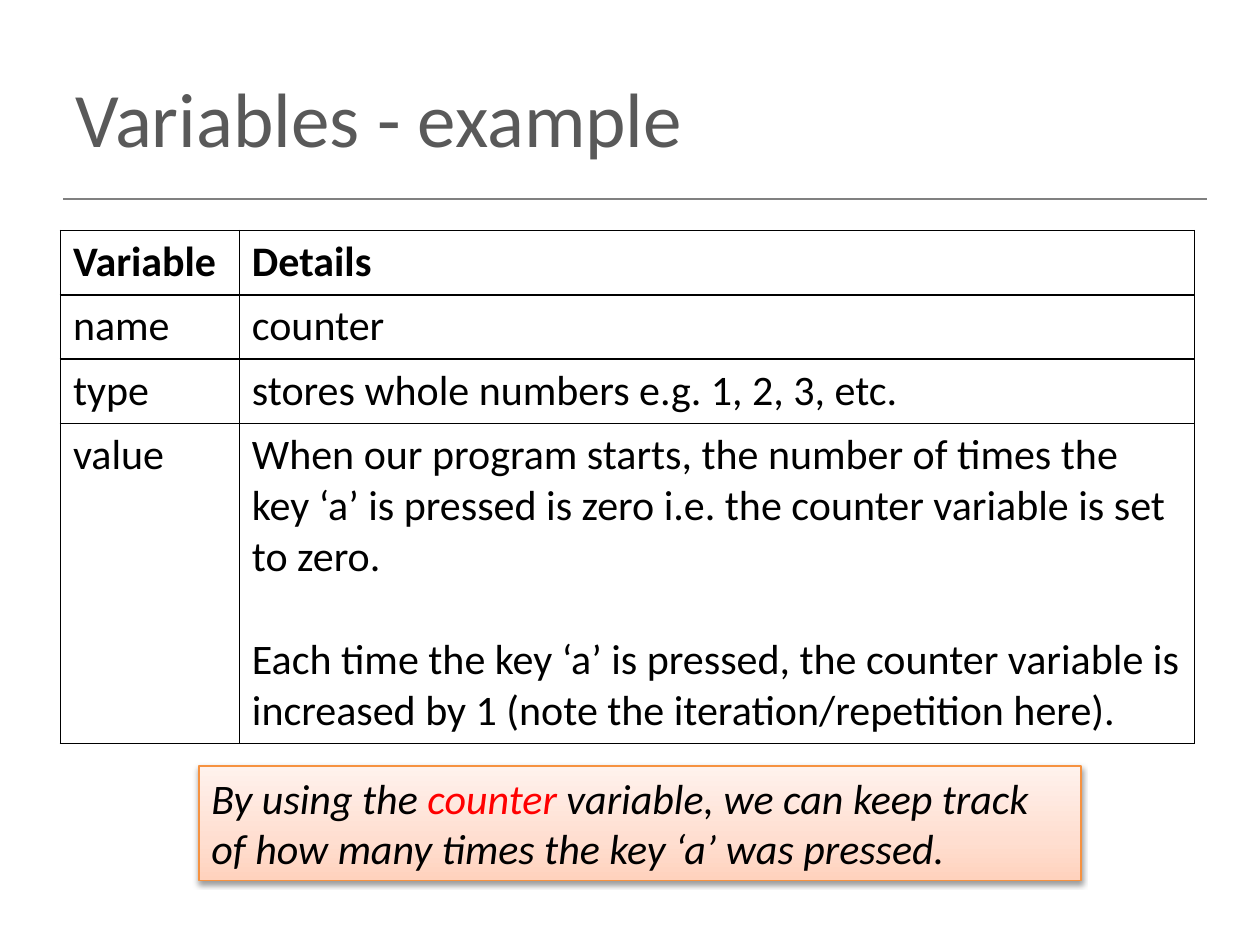
import copy

import lxml.etree
import pptx
import pptx.dml.color
import pptx.enum.shapes
import pptx.enum.text
import pptx.oxml
import pptx.oxml.ns
import pptx.util

Inches, Pt = pptx.util.Inches, pptx.util.Pt
RGBColor = pptx.dml.color.RGBColor
qn = pptx.oxml.ns.qn

BLACK = RGBColor(0x00, 0x00, 0x00)
RED = RGBColor(0xFF, 0x00, 0x00)
TITLE_GREY = RGBColor(0x59, 0x59, 0x59)
RULE_GREY = RGBColor(0x80, 0x80, 0x80)
ORANGE = RGBColor(0xF6, 0x92, 0x40)
PEACH = [(0, RGBColor(0xFF, 0xD2, 0xBD)), (0.35, RGBColor(0xFF, 0xDE, 0xD0)),
         (1, RGBColor(0xFF, 0xF2, 0xED))]

ROWS = [
    ("Variable", ["Details"]),
    ("name", ["counter"]),
    ("type", ["stores whole numbers e.g. 1, 2, 3, etc."]),
    ("value", ["When our program starts, the number of times the key ‘a’ is pressed is zero "
               "i.e. the counter variable is set to zero.",
               "Each time the key ‘a’ is pressed, the counter variable is increased by 1 "
               "(note the iteration/repetition here)."]),
]


class SlideBuilder:
    """Holds the text style and the current slide, and draws each kind of element."""

    font = "Calibri"
    size = 24

    def __init__(self, s):
        self.s = s

    def run(self, p, text, color=BLACK, size=size, bold=False, italic=False):
        r = p.add_run()
        r.text = text
        r.font.name, r.font.size = self.font, Pt(size)
        r.font.bold, r.font.italic = bold, italic
        r.font.color.rgb = color

    def title(self, text, x, y, w, h):
        sp = self.s.shapes.title
        sp.left, sp.top, sp.width, sp.height = map(Inches, (x, y, w, h))
        tf = sp.text_frame
        tf.vertical_anchor = pptx.enum.text.MSO_ANCHOR.MIDDLE
        p = tf.paragraphs[0]
        p.alignment = pptx.enum.text.PP_ALIGN.LEFT
        self.run(p, text, TITLE_GREY, 44)

    def rule(self, x1, x2, y):
        sp = self.s.shapes.add_connector(
            pptx.enum.shapes.MSO_CONNECTOR.STRAIGHT, Inches(x1), Inches(y), Inches(x2), Inches(y))
        sp.line.color.rgb, sp.line.width = RULE_GREY, Pt(1)
        lxml.etree.SubElement(sp._element.spPr, qn("a:effectLst"))

    def borders(self, cell):
        for i, side in enumerate(("lnL", "lnR", "lnT", "lnB")):
            ln = pptx.oxml.parse_xml(
                f'<a:{side} xmlns:a="http://schemas.openxmlformats.org/drawingml/2006/main" '
                f'w="{Pt(1)}"><a:solidFill><a:srgbClr val="{BLACK}"/></a:solidFill></a:{side}>')
            cell._tc.get_or_add_tcPr().insert(i, ln)

    def cell(self, cell, paragraphs, bold):
        cell.fill.background()
        self.borders(cell)
        tf = cell.text_frame
        for i, text in enumerate(paragraphs):
            p = tf.add_paragraph() if i else tf.paragraphs[0]
            if i:
                p.space_before = Pt(29.3)
            self.run(p, text, bold=bold)

    def table(self, rows, x, y, widths, heights):
        table = self.s.shapes.add_table(
            len(rows), len(widths), Inches(x), Inches(y),
            Inches(sum(widths)), Inches(sum(heights))).table
        for column, width in zip(table.columns, widths):
            column.width = Inches(width)
        for i, (label, details) in enumerate(rows):
            table.rows[i].height = Inches(heights[i])
            self.cell(table.cell(i, 0), [label], i == 0)
            self.cell(table.cell(i, 1), details, i == 0)

    def gradient(self, fill, gs_list_parent, stops):
        fill.gradient()
        fill.gradient_angle = 90
        gs_list = gs_list_parent.find(".//" + qn("a:gsLst"))
        gs_list.insert(1, copy.deepcopy(gs_list[0]))
        for stop, (position, color) in zip(fill.gradient_stops, stops):
            stop.position, stop.color.rgb = position, color

    def callout(self, runs, x, y, w, h):
        sp = self.s.shapes.add_shape(
            pptx.enum.shapes.MSO_SHAPE.RECTANGLE, Inches(x), Inches(y), Inches(w), Inches(h))
        self.gradient(sp.fill, sp._element.spPr, PEACH)
        sp.line.color.rgb, sp.line.width = ORANGE, Pt(0.75)
        sp.shadow.inherit = False
        sp._element.spPr.find(qn("a:effectLst")).append(pptx.oxml.parse_xml(
            '<a:outerShdw xmlns:a="http://schemas.openxmlformats.org/drawingml/2006/main" '
            f'blurRad="{Pt(3.1)}" dist="{Pt(1.6)}" dir="5400000" rotWithShape="0">'
            f'<a:srgbClr val="{BLACK}"><a:alpha val="38000"/></a:srgbClr></a:outerShdw>'))
        tf = sp.text_frame
        tf.word_wrap = True
        tf.auto_size = pptx.enum.text.MSO_AUTO_SIZE.SHAPE_TO_FIT_TEXT
        tf.vertical_anchor = pptx.enum.text.MSO_ANCHOR.TOP
        p = tf.paragraphs[0]
        p.alignment = pptx.enum.text.PP_ALIGN.LEFT
        for text, color in runs:
            self.run(p, text, color, italic=True)


def main():
    prs = pptx.Presentation()
    prs.slide_width, prs.slide_height = Inches(10), Inches(7.5)
    b = SlideBuilder(prs.slides.add_slide(prs.slide_layouts[5]))
    b.rule(0.5, 9.58, 1.58)
    b.title("Variables - example", 0.5, 0.3, 9, 1.25)
    b.table(ROWS, 0.48, 1.83, [1.42, 7.58], [0.51, 0.51, 0.51, 2.54])
    b.callout([("By using the ", BLACK), ("counter", RED),
               (" variable, we can keep track of how many times the key ‘a’ was pressed.", BLACK)],
              1.58, 6.08, 7, 0.91)
    prs.save("out.pptx")


if __name__ == "__main__":
    main()
